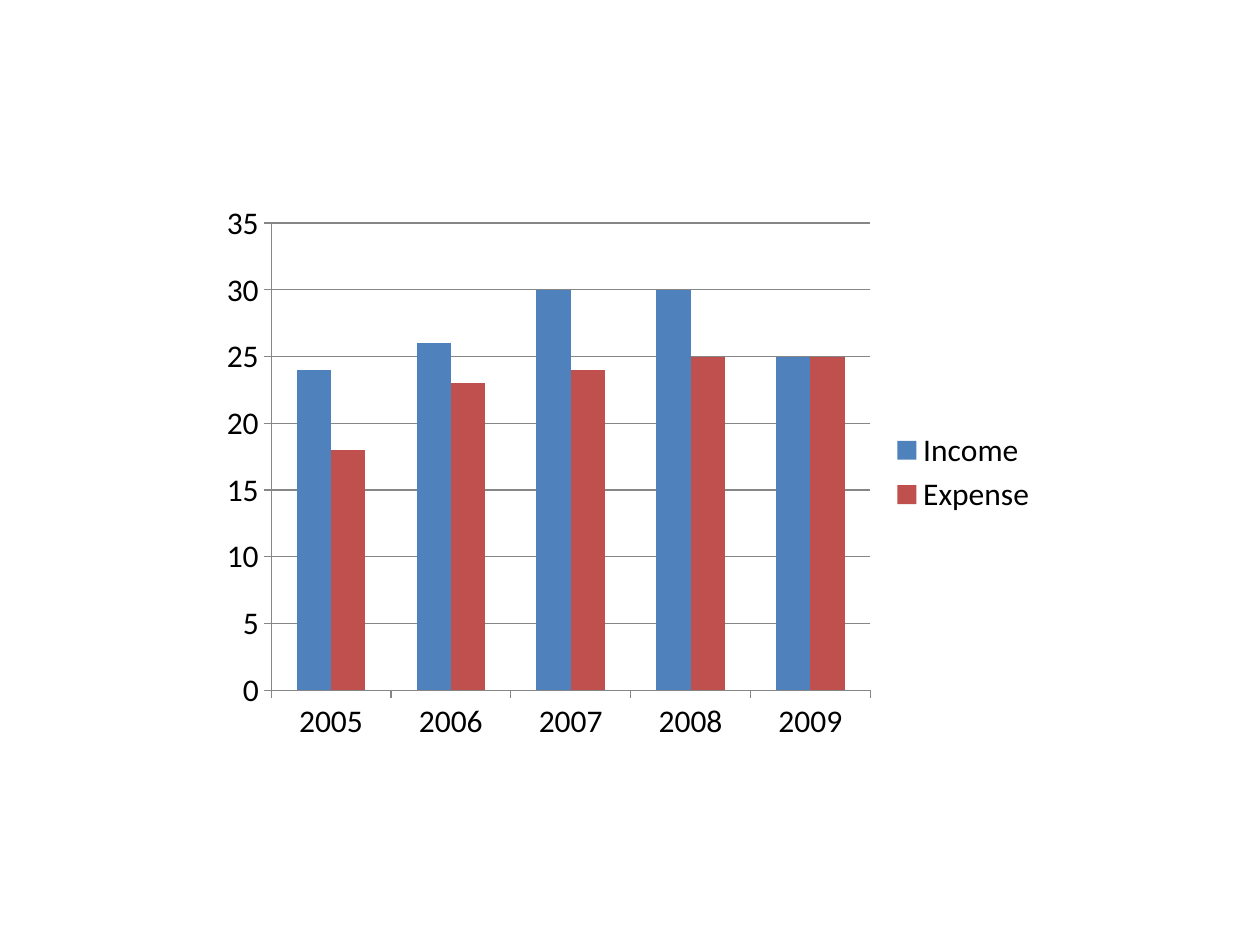
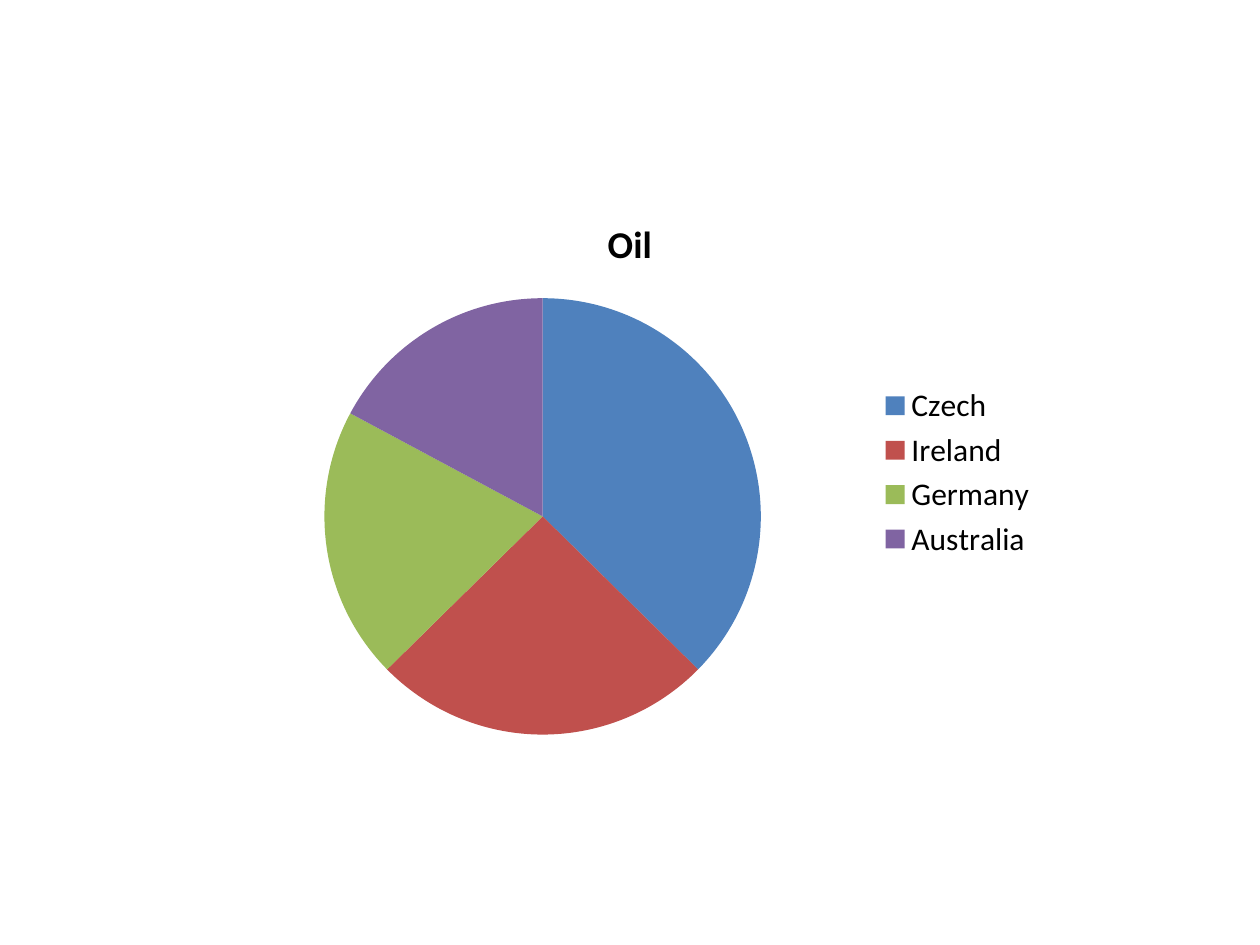
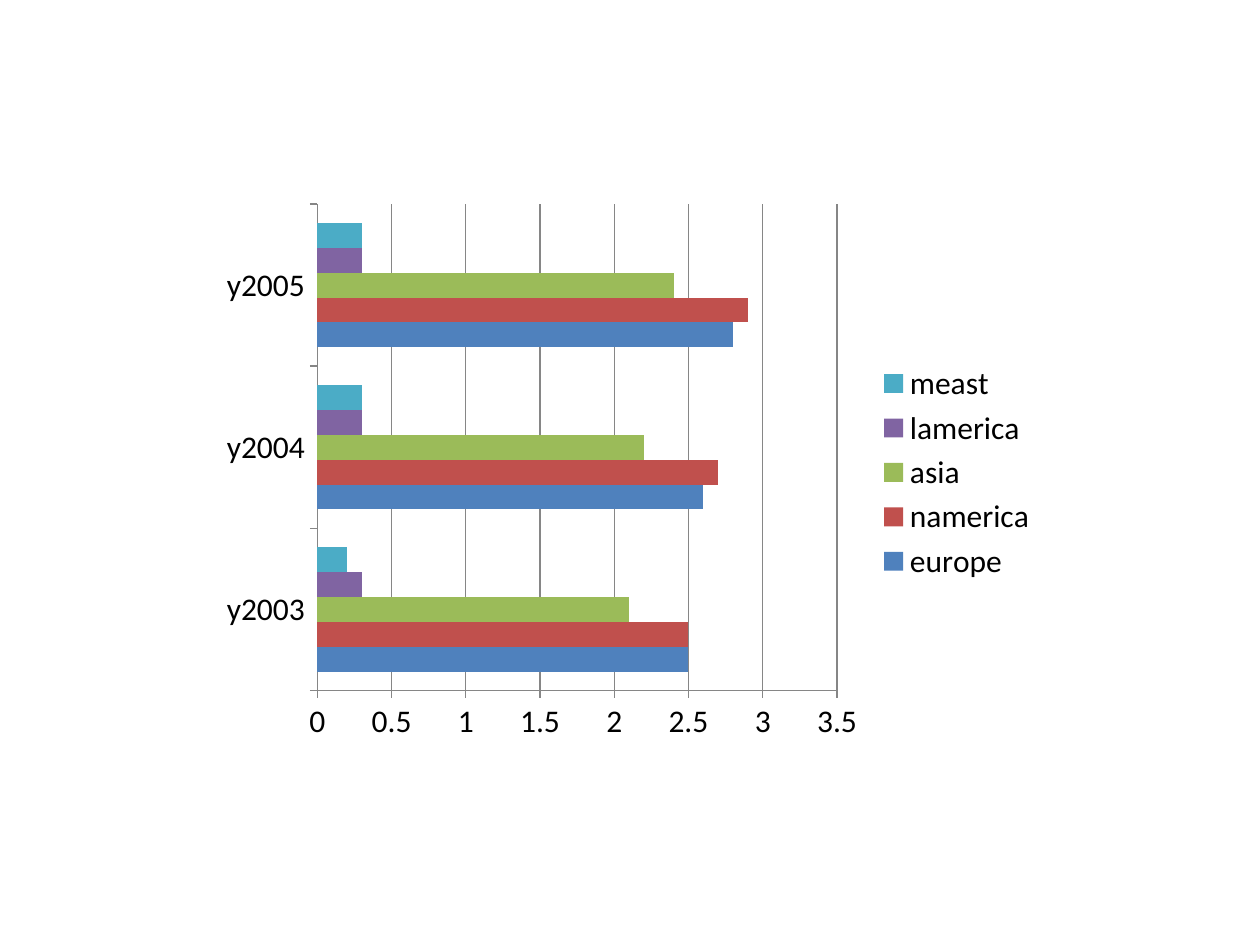
from dataclasses import dataclass

from pptx import Presentation
from pptx import util as u
from pptx.chart.data import CategoryChartData
from pptx.dml.color import RGBColor
from pptx.enum import chart as ch

PX = 9525
SLIDE_SIZE = (960, 720)
CHART_FRAME = (160, 147, 640, 426)


@dataclass(frozen=True)
class Theme:
    font: str = "Calibri"
    text: str = "000000"
    axis: str = "868686"
    accents: tuple = ("4F81BD", "C0504D", "9BBB59", "8064A2", "4BACC6")
    body_size: float = 18
    title_size: float = 21.6
    axis_width: float = 0.75


THEME = Theme()


def px(length):
    return u.Emu(length * PX)


def style_font(font, size=THEME.body_size, bold=False, color=THEME.text):
    font.name = THEME.font
    font.size = u.Pt(size)
    font.bold = bold
    font.color.rgb = RGBColor.from_string(color)


def write_text(frame, text, **style):
    run = frame.paragraphs[0].add_run()
    run.text = text
    style_font(run.font, **style)


def fill_with_accents(parts):
    for part, color in zip(parts, THEME.accents):
        part.format.fill.solid()
        part.format.fill.fore_color.rgb = RGBColor.from_string(color)


def style_line(line):
    line.color.rgb = RGBColor.from_string(THEME.axis)
    line.width = u.Pt(THEME.axis_width)


def add_chart(prs, kind, categories, series):
    """Add a slide holding one chart with a legend on its right."""
    slide = prs.slides.add_slide(prs.slide_layouts[6])
    data = CategoryChartData()
    data.categories = categories
    for name, values in series.items():
        data.add_series(name, values)
    chart = slide.shapes.add_chart(kind, *map(px, CHART_FRAME), data).chart
    style_font(chart.font)
    chart.has_title = False
    chart.has_legend = True
    chart.legend.position = ch.XL_LEGEND_POSITION.RIGHT
    chart.legend.include_in_layout = False
    return chart


def add_bars(prs, kind, categories, series, top, step):
    """Add clustered bars on a value axis from 0 to top."""
    chart = add_chart(prs, kind, categories, series)
    plot = chart.plots[0]
    plot.vary_by_categories = False
    plot.gap_width = 150
    plot.overlap = 0
    fill_with_accents(plot.series)

    values = chart.value_axis
    values.minimum_scale, values.maximum_scale = 0, top
    values.major_unit = step
    values.has_major_gridlines = True
    style_line(values.major_gridlines.format.line)
    for axis in (chart.category_axis, values):
        axis.major_tick_mark = ch.XL_TICK_MARK.OUTSIDE
        axis.minor_tick_mark = ch.XL_TICK_MARK.NONE
        style_line(axis.format.line)


def add_pie(prs, title, shares):
    chart = add_chart(prs, ch.XL_CHART_TYPE.PIE, list(shares), {title: list(shares.values())})
    chart.has_title = True
    write_text(chart.chart_title.text_frame, title, size=THEME.title_size, bold=True)
    plot = chart.plots[0]
    plot.vary_by_categories = True
    points = plot.series[0].points
    fill_with_accents([points[i] for i in range(len(shares))])


def main():
    prs = Presentation()
    prs.slide_width, prs.slide_height = map(px, SLIDE_SIZE)

    add_bars(
        prs, ch.XL_CHART_TYPE.COLUMN_CLUSTERED,
        ["2005", "2006", "2007", "2008", "2009"],
        {"Income": [24, 26, 30, 30, 25], "Expense": [18, 23, 24, 25, 25]},
        top=35, step=5,
    )
    add_pie(prs, "Oil", {"Czech": 37, "Ireland": 25, "Germany": 20, "Australia": 17})
    add_bars(
        prs, ch.XL_CHART_TYPE.BAR_CLUSTERED,
        ["y2003", "y2004", "y2005"],
        {
            "europe": [2.5, 2.6, 2.8],
            "namerica": [2.5, 2.7, 2.9],
            "asia": [2.1, 2.2, 2.4],
            "lamerica": [0.3, 0.3, 0.3],
            "meast": [0.2, 0.3, 0.3],
        },
        top=3.5, step=0.5,
    )
    prs.save("out.pptx")


if __name__ == "__main__":
    main()
